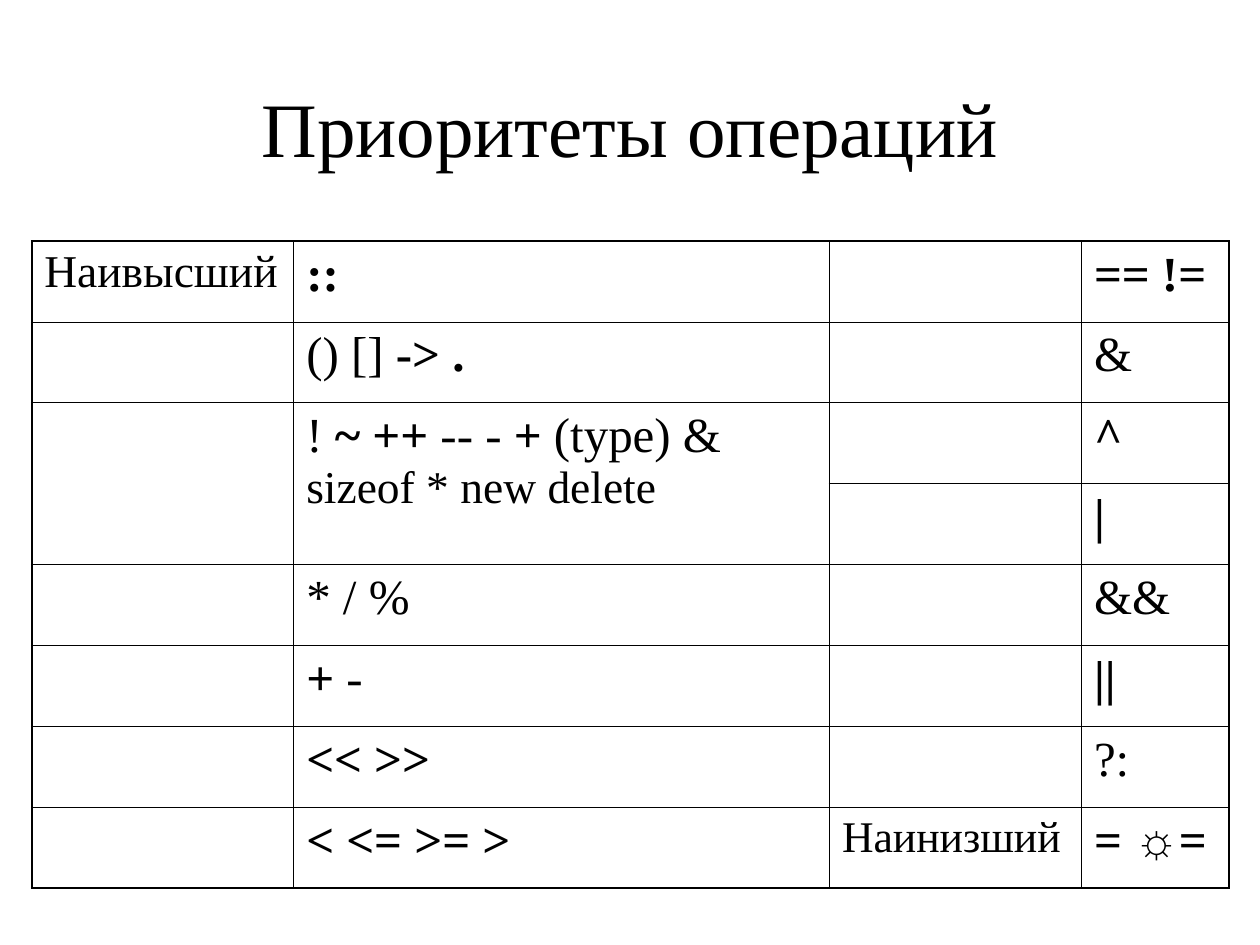
from typing import NamedTuple

from lxml import etree
from pptx import Presentation
from pptx.dml.color import RGBColor
from pptx.enum.text import MSO_ANCHOR, PP_ALIGN
from pptx.oxml.ns import qn
from pptx.util import Cm, Pt

CENTER, LEFT = PP_ALIGN.CENTER, PP_ALIGN.LEFT
MIDDLE, TOP = MSO_ANCHOR.MIDDLE, MSO_ANCHOR.TOP
COLORS = {"ink": "000000"}
FONT = "Times New Roman"
THIN, THICK = Pt(0.45), Pt(1.08)
COLUMN_WIDTHS = (5.28, 10.8, 5.08, 2.97)
ROW_HEIGHT = 1.63
UNARY_ROW = 2  # the left half of this row spans two rows


class Span(NamedTuple):
    text: str
    bold: bool = False
    size: float = 28


HIGHEST = [Span("Наивысший", size=26)]
LOWEST = [Span("Наинизший", size=25)]
UNARY = [
    Span("! "), Span("~ ++", True), Span(" -- - "), Span("+", True),
    Span(" (type) & "), Span("sizeof * new delete", size=26),
]
ROWS = [
    (HIGHEST, [Span("::", True)], [], [Span("== !=", True)]),
    ([], [Span("() [] "), Span("-> .", True)], [], [Span("&")]),
    ([], UNARY, [], [Span("^", True)]),
    ([], [], [], [Span("|", True)]),
    ([], [Span("* / %")], [], [Span("&&")]),
    ([], [Span("+", True), Span(" -")], [], [Span("||", True)]),
    ([], [Span("<< >>", True)], [], [Span("?:")]),
    ([], [Span("< <= >= >", True)], LOWEST, [Span("= ☼=", True)]),
]


def write(para, spans: list[Span], alignment=LEFT) -> None:
    para.alignment = alignment
    for span in spans:
        run = para.add_run()
        run.text = span.text
        formats = {"name": FONT, "size": Pt(span.size), "bold": span.bold}
        for name, value in formats.items():
            setattr(run.font, name, value)
        run.font.color.rgb = RGBColor.from_string(COLORS["ink"])


def set_borders(cell, widths: dict[str, int]) -> None:
    properties = cell._tc.get_or_add_tcPr()
    for index, (tag, width) in enumerate(widths.items()):
        line = etree.Element(qn(tag), w=str(int(width)))
        fill = etree.SubElement(line, qn("a:solidFill"))
        etree.SubElement(fill, qn("a:srgbClr"), val=COLORS["ink"])
        properties.insert(index, line)


def add_title(page, text: str) -> None:
    box = page.shapes.add_textbox(Cm(1.9), Cm(1.7), Cm(21.6), Cm(1.7))
    frame = box.text_frame
    frame.word_wrap = True
    frame.vertical_anchor = MIDDLE
    write(frame.paragraphs[0], [Span(text, size=44)], CENTER)


def add_priority_table(page) -> None:
    last = len(ROWS) - 1
    table = page.shapes.add_table(
        len(ROWS), len(COLUMN_WIDTHS), Cm(0.64), Cm(4.86),
        Cm(sum(COLUMN_WIDTHS)), Cm(ROW_HEIGHT * len(ROWS)),
    ).table
    table.first_row = table.horz_banding = False
    for column, width in zip(table.columns, COLUMN_WIDTHS):
        column.width = Cm(width)
    for row in table.rows:
        row.height = Cm(ROW_HEIGHT)

    for r, contents in enumerate(ROWS):
        for c, spans in enumerate(contents):
            cell = table.cell(r, c)
            cell.vertical_anchor = TOP
            cell.fill.background()
            # Thick lines frame each label and operator column pair
            set_borders(cell, {
                "a:lnL": THIN if c % 2 else THICK,
                "a:lnR": THICK if c % 2 else THIN,
                "a:lnT": THICK if r == 0 else THIN,
                "a:lnB": THICK if r == last else THIN,
            })
            write(cell.text_frame.paragraphs[0], spans)

    for c in (0, 1):
        table.cell(UNARY_ROW, c).merge(table.cell(UNARY_ROW + 1, c))


def main() -> None:
    deck = Presentation()
    deck.slide_width, deck.slide_height = Cm(25.4), Cm(19.05)
    page = deck.slides.add_slide(deck.slide_layouts[6])
    add_title(page, "Приоритеты операций")
    add_priority_table(page)
    deck.save("out.pptx")


if __name__ == "__main__":
    main()
